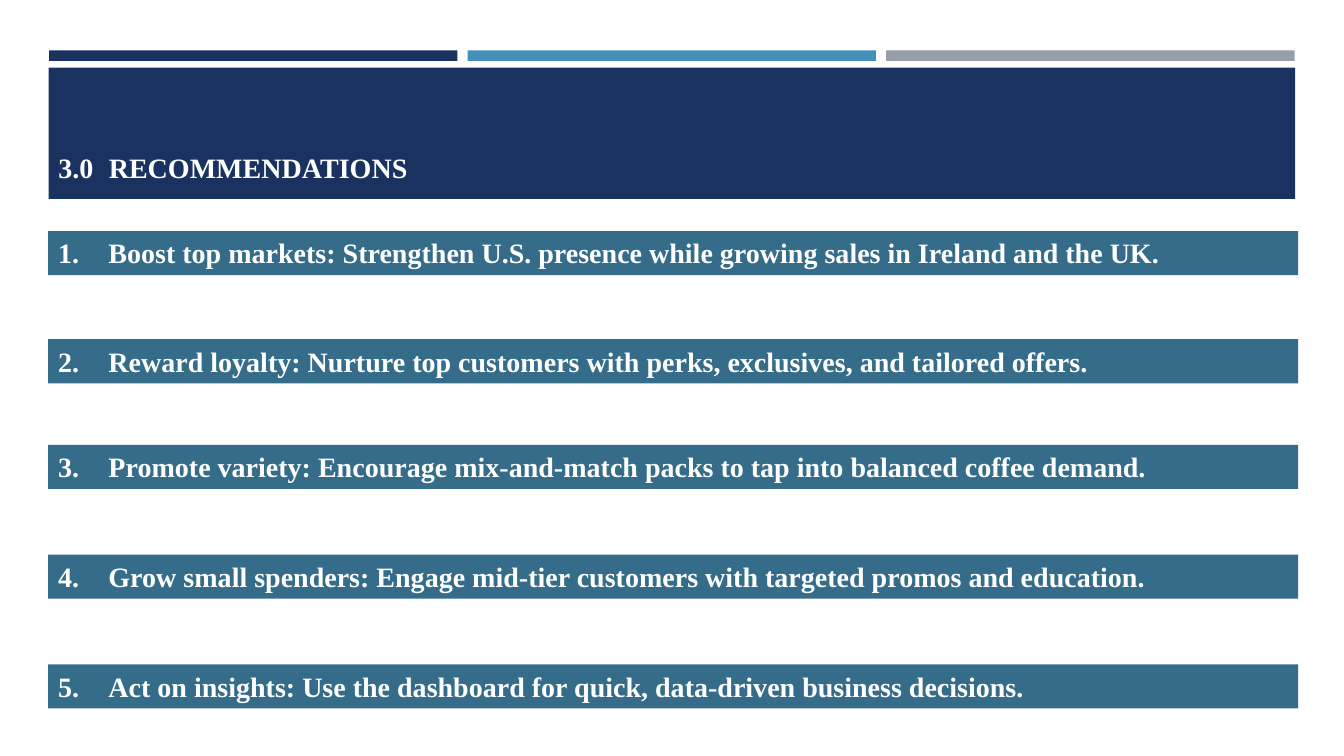
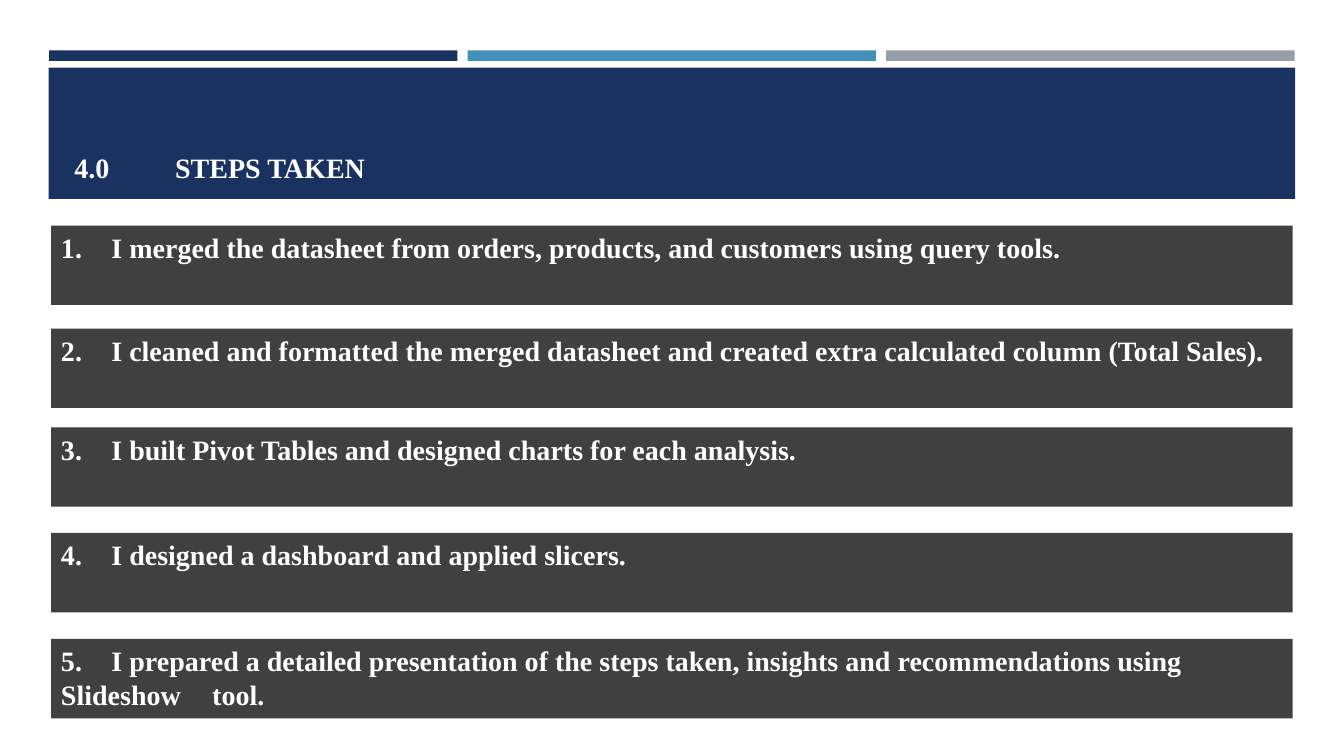
from lxml.etree import SubElement
from pptx import Presentation
from pptx.dml.color import RGBColor
from pptx.enum.shapes import MSO_SHAPE
from pptx.enum.text import MSO_ANCHOR, PP_ALIGN
from pptx.oxml.ns import qn
from pptx.util import Pt

COLORS = {
    "navy": "1A3260",
    "blue": "4590B8",
    "gray": "969FA7",
    "teal": "346C8A",
    "charcoal": "404040",
    "white": "FFFFFF",
}
FONT = "Times New Roman"
TEXT_SIZE = 20
TAB_STOPS = (36, 72, 108)

STRIPES = ("navy", "blue", "gray")
STRIPE_LEFT, STRIPE_TOP = 35, 36
STRIPE_WIDTH, STRIPE_HEIGHT, STRIPE_GAP = 291.7, 7.5, 7.3
BANNER = (34.8, 48.4, 890.4, 93.7)
TITLE_TOP, TITLE_RIGHT, TITLE_HEIGHT = 55.4, 914.4, 80

PAGES = [
    {
        "title": "3.0\tRECOMMENDATIONS",
        "title_left": 34.6,
        "color": "teal",
        "left": 34.4,
        "width": 892.8,
        "height": 31.5,
        "items": [
            (165, "Boost top markets: Strengthen U.S. presence while growing sales in Ireland and the UK."),
            (242.3, "Reward loyalty: Nurture top customers with perks, exclusives, and tailored offers."),
            (317.8, "Promote variety: Encourage mix-and-match packs to tap into balanced coffee demand."),
            (396.2, "Grow small spenders: Engage mid-tier customers with targeted promos and education."),
            (474.5, "Act on insights: Use the dashboard for quick, data-driven business decisions."),
        ],
    },
    {
        "title": "4.0\t\tSTEPS TAKEN",
        "title_left": 46,
        "color": "charcoal",
        "left": 36.5,
        "width": 886.8,
        "height": 56.7,
        "items": [
            (161.2, "I merged the datasheet from orders, products, and customers using query tools."),
            (234.7, "I cleaned and formatted the merged datasheet and created extra calculated column (Total Sales)."),
            (305.3, "I built Pivot Tables and designed charts for each analysis."),
            (380.7, "I designed a dashboard and applied slicers."),
            (456.4, "I prepared a detailed presentation of the steps taken, insights and recommendations using Slideshow\ttool."),
        ],
    },
]


def add_bar(page, color, left, top, width, height):
    bar = page.shapes.add_shape(
        MSO_SHAPE.RECTANGLE, Pt(left), Pt(top), Pt(width), Pt(height))
    bar.shadow.inherit = False
    bar.fill.solid()
    bar.fill.fore_color.rgb = RGBColor.from_string(COLORS[color])
    bar.line.fill.background()
    return bar


def write_text(box, text, anchor):
    frame = box.text_frame
    frame.word_wrap = True
    frame.vertical_anchor = anchor
    para = frame.paragraphs[0]
    para.alignment = PP_ALIGN.LEFT
    tab_list = SubElement(para._p.get_or_add_pPr(), qn("a:tabLst"))
    for stop in TAB_STOPS:
        SubElement(tab_list, qn("a:tab"), pos=str(Pt(stop)), algn="l")
    span = para.add_run()
    span.text = text
    span.font.name = FONT
    span.font.size = Pt(TEXT_SIZE)
    span.font.bold = True
    span.font.color.rgb = RGBColor.from_string(COLORS["white"])


def add_header(page, title, title_left):
    for index, color in enumerate(STRIPES):
        left = STRIPE_LEFT + index * (STRIPE_WIDTH + STRIPE_GAP)
        add_bar(page, color, left, STRIPE_TOP, STRIPE_WIDTH, STRIPE_HEIGHT)
    add_bar(page, "navy", *BANNER)
    box = page.shapes.add_textbox(
        Pt(title_left), Pt(TITLE_TOP), Pt(TITLE_RIGHT - title_left), Pt(TITLE_HEIGHT))
    write_text(box, title, MSO_ANCHOR.BOTTOM)


def main():
    deck = Presentation()
    deck.slide_width, deck.slide_height = Pt(960), Pt(540)
    blank = deck.slide_layouts[6]
    for content in PAGES:
        page = deck.slides.add_slide(blank)
        add_header(page, content["title"], content["title_left"])
        for number, (top, text) in enumerate(content["items"], 1):
            bar = add_bar(page, content["color"], content["left"], top,
                          content["width"], content["height"])
            write_text(bar, f"{number}.\t{text}", MSO_ANCHOR.TOP)
    deck.save("out.pptx")


if __name__ == "__main__":
    main()
